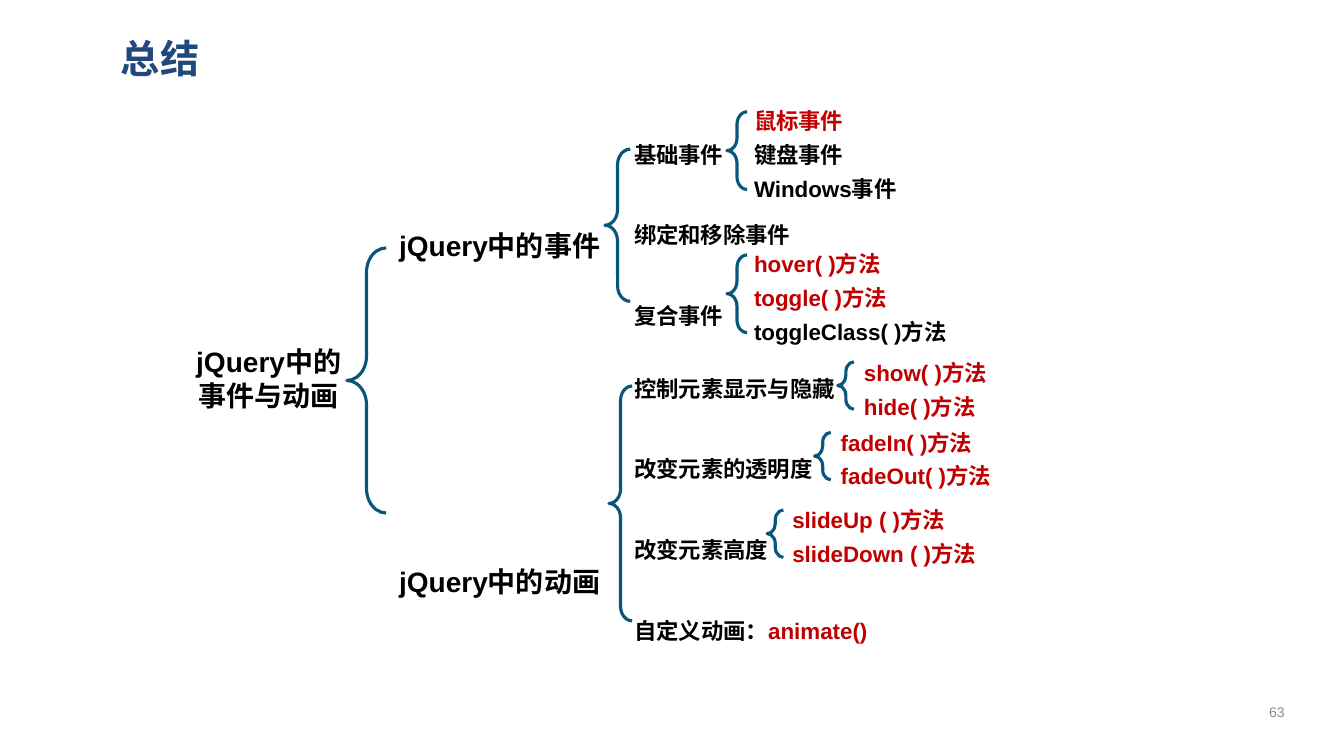
"""Build the summary slide: a brace tree of jQuery events and animations."""
from pptx import Presentation
from pptx.dml.color import RGBColor
from pptx.enum.shapes import MSO_SHAPE
from pptx.enum.text import MSO_ANCHOR, MSO_AUTO_SIZE, PP_ALIGN
from pptx.util import Inches, Pt

COLORS = {"title": "1F497D", "text": "000000", "key": "C00000",
          "brace": "08577A", "number": "8C8C8C"}


def write(frame, paragraphs, size=16, font="Arial", bold=True,
          align=PP_ALIGN.LEFT, first_spacing=None, spacing=None):
    """Fill a frame with paragraphs, each a list of (text, color name) runs."""
    frame.word_wrap = True
    for index, runs in enumerate(paragraphs):
        paragraph = frame.paragraphs[0] if index == 0 else frame.add_paragraph()
        paragraph.alignment = align
        paragraph.line_spacing = spacing if index else first_spacing
        for text, color in runs:
            run = paragraph.add_run()
            run.text = text
            run.font.size = Pt(size)
            run.font.bold = bold
            run.font.name = font
            run.font.color.rgb = RGBColor.from_string(COLORS[color])
            east_asian = run.font._element.makeelement(
                "{http://schemas.openxmlformats.org/drawingml/2006/main}ea",
                {"typeface": font})
            run.font._element.find(
                "{http://schemas.openxmlformats.org/drawingml/2006/main}latin"
            ).addnext(east_asian)


prs = Presentation()
prs.slide_width, prs.slide_height = Inches(13.33), Inches(7.5)
slide = prs.slides.add_slide(prs.slide_layouts[5])

title = slide.shapes.title
title.left, title.top = Inches(1.1), Inches(0.24)
title.width, title.height = Inches(11.65), Inches(0.67)
title.text_frame.vertical_anchor = MSO_ANCHOR.MIDDLE
write(title.text_frame, [[("总结", "title")]], size=28, font="Noto Sans CJK SC")

page_number = slide.shapes.add_textbox(
    Inches(12.34), Inches(6.86), Inches(0.65), Inches(0.4))
page_number.text_frame.vertical_anchor = MSO_ANCHOR.MIDDLE
write(page_number.text_frame, [[("63", "number")]], size=10, bold=False,
      align=PP_ALIGN.CENTER)

topics = [
    ((1.82, 3.37, 1.69, 0.77), [[("jQuery中的事件与动画", "text")]],
     {"size": 20, "align": PP_ALIGN.CENTER}),
    ((3.86, 2.22, 2.33, 3.03),
     [[("jQuery中的事件", "text")], [("jQuery中的动画", "text")]],
     {"size": 20, "spacing": 9.99}),
    ((6.19, 1.35, 1.76, 1.84),
     [[("基础事件", "text")], [("绑定和移除事件", "text")], [("复合事件", "text")]],
     {"spacing": 3.0}),
    ((6.19, 3.67, 2.72, 2.64),
     [[("控制元素显示与隐藏", "text")], [("改变元素的透明度", "text")],
      [("改变元素高度", "text")],
      [("自定义动画：", "text"), ("animate()", "key")]],
     {"spacing": 3.0}),
]
details = [
    ((7.38, 0.95, 2.22, 1.11),
     [("鼠标事件", "key"), ("键盘事件", "text"), ("Windows事件", "text")]),
    ((7.38, 2.37, 2.22, 1.08),
     [("hover( )方法", "key"), ("toggle( )方法", "key"),
      ("toggleClass( )方法", "text")]),
    ((8.47, 3.45, 1.82, 0.74), [("show( )方法", "key"), ("hide( )方法", "key")]),
    ((8.24, 4.14, 1.82, 0.74), [("fadeIn( )方法", "key"), ("fadeOut( )方法", "key")]),
    ((7.76, 4.91, 2.3, 0.74),
     [("slideUp ( )方法", "key"), ("slideDown ( )方法", "key")]),
]
for box, lines in details:
    topics.append((box, [[line] for line in lines],
                   {"first_spacing": Pt(24), "spacing": Pt(24)}))

for box, paragraphs, text_format in topics:
    label = slide.shapes.add_textbox(*map(Inches, box))
    write(label.text_frame, paragraphs, **text_format)
    label.text_frame.auto_size = MSO_AUTO_SIZE.SHAPE_TO_FIT_TEXT

braces = [
    (3.44, 2.46, 0.39, 2.63), (6, 1.48, 0.25, 1.51), (6.04, 3.83, 0.23, 2.33),
    (7.21, 1.11, 0.2, 0.77), (7.21, 2.53, 0.2, 0.77),
    (8.31, 3.59, 0.16, 0.47), (8.08, 4.29, 0.16, 0.47), (7.61, 5.06, 0.16, 0.47),
]
for box in braces:
    brace = slide.shapes.add_shape(MSO_SHAPE.LEFT_BRACE, *map(Inches, box))
    brace.adjustments[0] = 0.62
    brace.adjustments[1] = 0.5
    brace.shadow.inherit = False
    brace.fill.background()
    brace.line.color.rgb = RGBColor.from_string(COLORS["brace"])
    brace.line.width = Pt(2.25)

prs.save("out.pptx")
